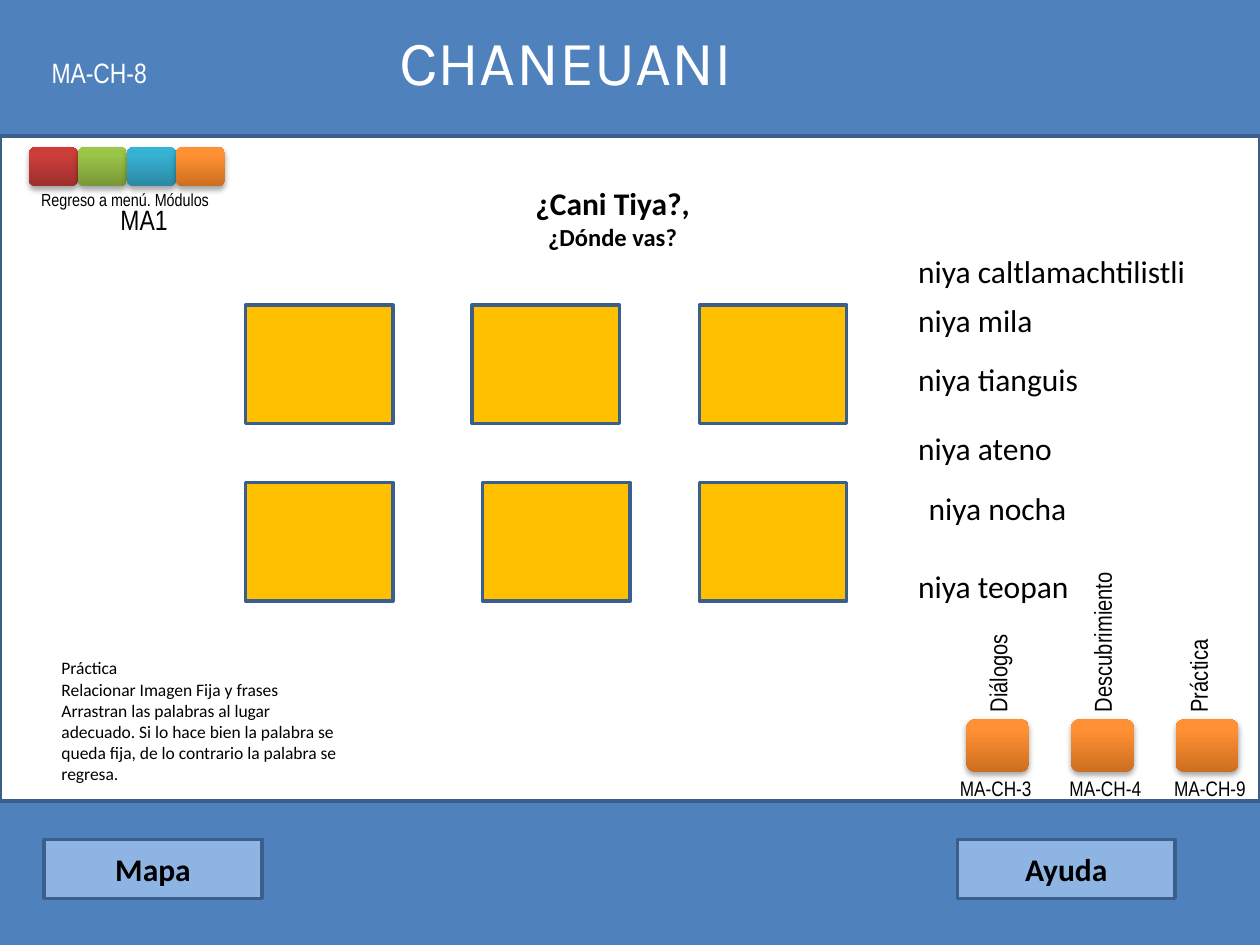
"""Build the CHANEUANI matching-practice slide."""
from copy import deepcopy
from lxml import etree
from pptx import Presentation
from pptx import util as u
from pptx.dml.color import RGBColor
from pptx.enum import shapes, text
from pptx.oxml import ns

HUE = {
    "blue": "4F81BD", "edge": "3A5F8C", "sky": "8EB4E3", "gold": "FFC000",
    "white": "FFFFFF", "black": "000000",
}
RAMP = {
    "red": ("9C2F2D", "CB3E3A", "CE3B37"),
    "green": ("779737", "9BC348", "9DC746"),
    "teal": ("2A88A2", "37B1D2", "34B4D6"),
    "orange": ("CC6E20", "FF9034", "FF9136"),
}
NARROW = "Arial Narrow"
SHADE = (
    f'<a:outerShdw xmlns:a="{ns.nsuri("a")}" blurRad="40000" dist="23000" '
    'dir="5400000" rotWithShape="0"><a:srgbClr val="000000">'
    '<a:alpha val="35000"/></a:srgbClr></a:outerShdw>'
)

deck = Presentation()
deck.slide_width, deck.slide_height = u.Cm(25.4), u.Cm(19.05)
slide = deck.slides.add_slide(deck.slide_layouts[6])
back = slide.background.fill
back.solid()
back.fore_color.rgb = RGBColor.from_string(HUE["blue"])


def write(words, box=None, on=None, into=slide, size=18, font="Calibri", hue="black",
          bold=False, mid=False, wrap=True, turn=0):
    shape = on or into.shapes.add_textbox(*map(u.Cm, box))
    shape.rotation = turn
    frame = shape.text_frame
    frame.word_wrap = wrap
    if on:
        frame.vertical_anchor = text.MSO_ANCHOR.MIDDLE
    else:
        frame.auto_size = text.MSO_AUTO_SIZE.SHAPE_TO_FIT_TEXT
    for i, line in enumerate(words.split("\n")):
        para = frame.paragraphs[0] if i == 0 else frame.add_paragraph()
        para.alignment = text.PP_ALIGN.CENTER if mid else text.PP_ALIGN.LEFT
        run = para.add_run()
        run.text = line
        run.font.size, run.font.name, run.font.bold = u.Pt(size), font, bold
        run.font.color.rgb = RGBColor.from_string(HUE[hue])
    return frame


def block(box, hue, into=slide):
    glossy = hue in RAMP
    kind = shapes.MSO_SHAPE.ROUNDED_RECTANGLE if glossy else shapes.MSO_SHAPE.RECTANGLE
    shape = into.shapes.add_shape(kind, *map(u.Cm, box))
    shape.shadow.inherit = False
    if glossy:
        shape.line.fill.background()
        shape.fill.gradient()
        shape.fill.gradient_angle = 90
        stops = shape._element.spPr.find(ns.qn("a:gradFill")).find(ns.qn("a:gsLst"))
        stops.append(deepcopy(stops[-1]))
        for stop, place, tone in zip(shape.fill.gradient_stops, (0, 0.8, 1), RAMP[hue]):
            stop.position = place
            stop.color.rgb = RGBColor.from_string(tone)
        shape._element.spPr.find(ns.qn("a:effectLst")).append(etree.fromstring(SHADE))
    else:
        shape.fill.solid()
        shape.fill.fore_color.rgb = RGBColor.from_string(HUE[hue])
        shape.line.color.rgb = RGBColor.from_string(HUE["edge"])
        shape.line.width = u.Pt(2)
    return shape


block((0, 2.74, 25.4, 13.41), "white")
for name, left in (("Mapa", 0.89), ("Ayuda", 19.3)):
    write(name, on=block((left, 16.92, 4.39, 1.19), "sky"), bold=True, mid=True)
write("CHANEUANI", (7.8, 0.33, 8.33, 1.8), size=36, font="Karla", hue="white", wrap=False)
write("MA-CH-8", (0.79, 0.99, 2.59, 0.94), size=16, font=NARROW, hue="white")

menu = slide.shapes.add_group_shape()
for i, hue in enumerate(RAMP):
    block((0.58 + 0.99 * i, 2.97, 0.99, 0.79), hue, into=menu)
write("Regreso a menú. Módulos", (0.58, 3.68, 3.96, 0.69), into=menu, size=10, font=NARROW)
write("MA1", (2.18, 3.96, 2.59, 0.94), size=16, font=NARROW)

ask = write("¿Cani Tiya?,\n¿Dónde vas?", (10.52, 3.58, 3.66, 1.63), bold=True, mid=True, wrap=False)
ask.paragraphs[1].runs[0].font.size = u.Pt(14)
write("Práctica\nRelacionar Imagen Fija y frases\nArrastran las palabras al lugar adecuado. "
      "Si lo hace bien la palabra se queda fija, de lo contrario la palabra se regresa.",
      (0.99, 13.13, 6.15, 2.82), size=10)

for top, row in ((6.15, (4.95, 9.52, 14.1)), (9.73, (4.95, 9.73, 14.1))):
    for left in row:
        block((left, top, 2.97, 2.39), "gold")

for words, left, top, wide in (
    ("niya caltlamachtilistli", 18.26, 4.95, 6.1),
    ("niya mila", 18.26, 5.94, 2.84),
    ("niya tianguis", 18.26, 7.14, 3.78),
    ("niya ateno", 18.26, 8.53, 3.38),
    ("niya nocha", 18.47, 9.73, 4.37),
    ("niya teopan", 18.26, 11.3, 3.58),
):
    write(words, (left, top, wide, 1.02), wrap=words not in ("niya caltlamachtilistli", "niya tianguis"))

for i, (name, side, code, left, wide) in enumerate((
    ("Diálogos", (18.52, 12.6, 3.18, 0.84), "MA-CH-3", 19.1, 1.98),
    ("Descubrimiento", (20.5, 12.45, 3.45, 0.86), "MA-CH-4", 21.31, 1.98),
    ("Práctica", (22.56, 12.6, 3.18, 0.84), "MA-CH-9", 23.42, 2.62),
)):
    block((19.48 + 2.11 * i, 14.5, 1.27, 1.07), "orange")
    write(name, side, size=14, font=NARROW, turn=270)
    write(code, (left, 15.5, wide, 0.76), size=12, font=NARROW)

deck.save("out.pptx")
